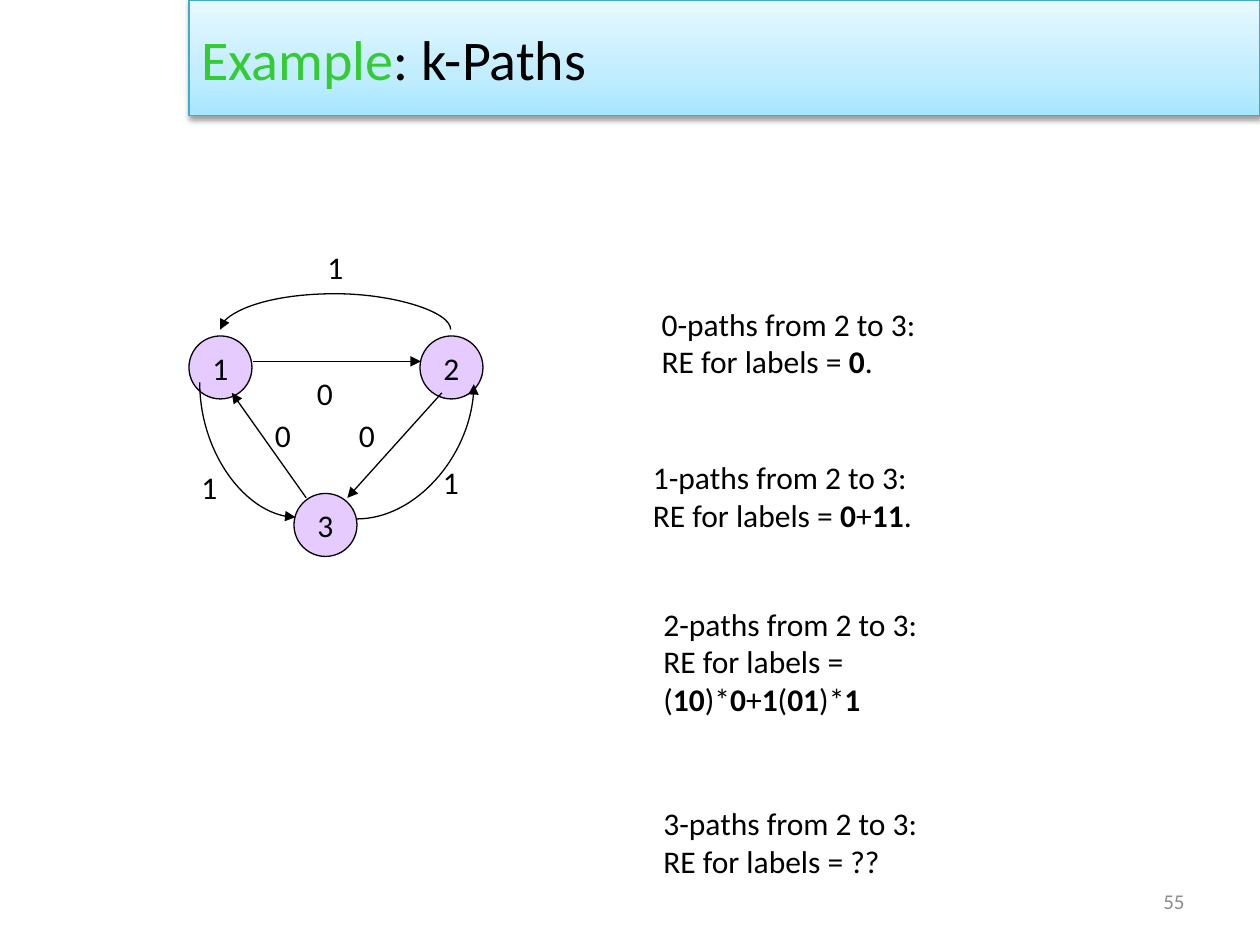
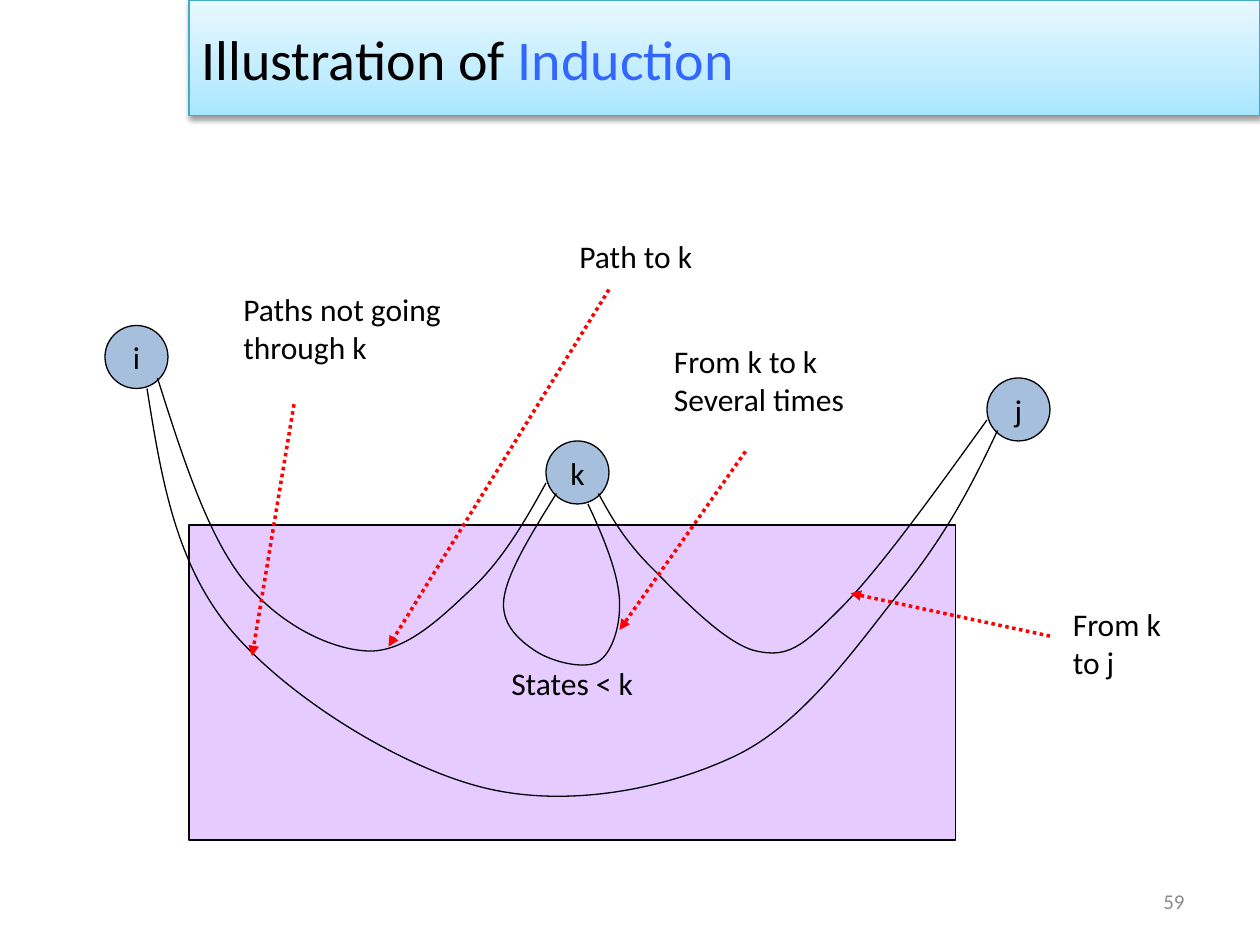
from lxml import etree
from pptx import Presentation
from pptx.dml.color import RGBColor
from pptx.enum import dml, shapes, text
from pptx.oxml import parse_xml
from pptx.oxml import ns
from pptx.util import Pt

# Shared look
FONT = "Calibri"
BLACK, RED, GREEN, BLUE = "000000", "FF0000", "33CC33", "3366FF"
LILAC, STEEL, GREY = "CC99FF", "4F81BD", "8C8C8C"
BAND_LINE = "46AAC5"
BAND_STOPS = [(0, "A7E6FF"), (35, "C1EDFF"), (100, "E7F8FF")]
NODE = 36


def color(value):
    return RGBColor.from_string(value)


def style_line(line, value=BLACK, width=0.75):
    line.color.rgb = color(value)
    line.width = Pt(width)


def style_run(r, size, value, bold=False):
    r.font.name, r.font.size, r.font.bold = FONT, Pt(size), bold
    r.font.color.rgb = color(value)


# Text
def write(tf, lines, size=18, value=BLACK, align=text.PP_ALIGN.LEFT):
    """Fill a frame; pieces between bars are bold."""
    tf.text = "\n".join(lines)
    for p, line in zip(tf.paragraphs, lines):
        p.alignment = align
        p.text = ""
        for i, piece in enumerate(line.split("|")):
            if piece:
                r = p.add_run()
                r.text = piece
                style_run(r, size, value, bold=i % 2 == 1)


def add_label(s, x, y, w, h, *lines):
    sp = s.shapes.add_textbox(Pt(x), Pt(y), Pt(w), Pt(h))
    sp.text_frame.word_wrap = True
    write(sp.text_frame, lines)
    return sp


# Shapes
def add_plain_shape(s, kind, x, y, w, h):
    sp = s.shapes.add_shape(kind, Pt(x), Pt(y), Pt(w), Pt(h))
    sp.shadow.inherit = False
    sp.text_frame.vertical_anchor = text.MSO_ANCHOR.MIDDLE
    return sp


def add_tinted(s, kind, x, y, w, h, fill, caption):
    """A half-transparent shape with a centred caption."""
    sp = add_plain_shape(s, kind, x, y, w, h)
    sp.fill.solid()
    sp.fill.fore_color.rgb = color(fill)
    tint = sp._element.spPr.find(ns.qn("a:solidFill"))[0]
    etree.SubElement(tint, ns.qn("a:alpha"), val="50000")
    style_line(sp.line)
    sp.text_frame.word_wrap = False
    write(sp.text_frame, [caption], align=text.PP_ALIGN.CENTER)


def add_state(s, name, x, y, fill):
    add_tinted(s, shapes.MSO_SHAPE.OVAL, x, y, NODE, NODE, fill, name)


def add_curve(s, start, *points):
    """An open outline; every three points form one Bezier segment."""
    fb = s.shapes.build_freeform(Pt(start[0]), Pt(start[1]), scale=1.0)
    fb.add_line_segments([(Pt(x), Pt(y)) for x, y in points], close=False)
    sp = fb.convert_to_shape()
    sp.shadow.inherit = False
    sp.fill.background()
    style_line(sp.line)
    outline = sp._element.find(".//" + ns.qn("a:path"))
    segments = outline.findall(ns.qn("a:lnTo"))
    for i in range(0, len(segments), 3):
        bezier = etree.SubElement(outline, ns.qn("a:cubicBezTo"))
        for segment in segments[i:i + 3]:
            bezier.append(segment[0])
            outline.remove(segment)


# Arrows
def add_arrow(s, start, end, value=BLACK, width=0.75, dash=None,
              kind=shapes.MSO_CONNECTOR.STRAIGHT):
    c = s.shapes.add_connector(kind, *map(Pt, start + end))
    style_line(c.line, value, width)
    if dash:
        c.line.dash_style = dash
    etree.SubElement(c.line._get_or_add_ln(), ns.qn("a:tailEnd"), type="triangle")
    etree.SubElement(c._element.spPr, ns.qn("a:effectLst"))
    return c


def add_pointer(s, start, end):
    add_arrow(s, start, end, RED, 2, dml.MSO_LINE.ROUND_DOT)


def add_bent_arrow(s, start, end, preset, turned=False, bulge=None):
    """A curved connector, optionally turned a quarter to the left."""
    c = add_arrow(s, start, end, kind=shapes.MSO_CONNECTOR.CURVE)
    spPr = c._element.spPr
    if turned:
        spPr.find(ns.qn("a:xfrm")).set("rot", "16200000")
    geometry = spPr.find(ns.qn("a:prstGeom"))
    geometry.set("prst", preset)
    if bulge is not None:
        guides = geometry.find(ns.qn("a:avLst"))
        if guides is None:
            guides = etree.SubElement(geometry, ns.qn("a:avLst"))
        etree.SubElement(guides, ns.qn("a:gd"), name="adj1",
                         fmla=f"val {bulge * 100000}")


# Title band and slide number
def add_title(s, pieces):
    sp = add_plain_shape(s, shapes.MSO_SHAPE.RECTANGLE, 108, 0, 612, 66)
    sp.fill.background()
    style_line(sp.line, BAND_LINE)
    stops = "".join(f'<a:gs pos="{pos * 1000}"><a:srgbClr val="{value}"/></a:gs>'
                    for pos, value in BAND_STOPS)
    spPr = sp._element.spPr
    spPr.replace(spPr.find(ns.qn("a:noFill")), parse_xml(
        f'<a:gradFill {ns.nsdecls("a")} rotWithShape="1"><a:gsLst>{stops}</a:gsLst>'
        '<a:lin ang="16200000" scaled="0"/></a:gradFill>'))
    spPr.find(ns.qn("a:effectLst")).append(parse_xml(
        f'<a:outerShdw {ns.nsdecls("a")} blurRad="{Pt(3.1)}" dist="{Pt(1.6)}" '
        'dir="5400000" rotWithShape="0"><a:srgbClr val="000000">'
        '<a:alpha val="38000"/></a:srgbClr></a:outerShdw>'))
    p = sp.text_frame.paragraphs[0]
    p.alignment = text.PP_ALIGN.LEFT
    for words, value in pieces:
        r = p.add_run()
        r.text = words
        style_run(r, 32, value)


def new_slide(prs, number, *title):
    s = prs.slides.add_slide(prs.slide_layouts[6])
    add_title(s, title)
    sp = add_label(s, 516, 500.5, 168, 29)
    sp.text_frame.vertical_anchor = text.MSO_ANCHOR.MIDDLE
    write(sp.text_frame, [number], 12, GREY, text.PP_ALIGN.RIGHT)
    return s


def build_k_paths(prs):
    s = new_slide(prs, "55", ("Example", GREEN), (": k-Paths", BLACK))

    # Automaton
    for name, x, y in [("1", 108, 192), ("3", 168, 282), ("2", 240, 192)]:
        add_state(s, name, x, y, LILAC)
    add_arrow(s, (144.5, 206.5), (240.5, 206.5))
    add_arrow(s, (252.5, 224.5), (198.5, 284.5))
    add_arrow(s, (175, 284.5), (132.5, 224.5))
    add_bent_arrow(s, (191.73, 254.2), (191.6, 122.4), "curvedConnector3", True, -144)
    add_bent_arrow(s, (180, 229.7), (103, 284.4), "curvedConnector2", True)
    add_bent_arrow(s, (203.8, 296.6), (270.8, 219.6), "curvedConnector2")
    for symbol, x, y in [("0", 174, 210), ("0", 198, 234), ("0", 150, 234),
                         ("1", 180, 138), ("1", 108, 264), ("1", 246, 261)]:
        add_label(s, x, y, 27, 36, symbol)

    # Path expressions
    for k, x, y, expression in [
            (0, 371, 170.5, ["RE for labels = |0|."]),
            (1, 366, 258, ["RE for labels = |0|+|11|."]),
            (2, 372, 342, ["RE for labels =", "(|10|)*|0|+|1|(|01|)*|1"]),
            (3, 372, 456, ["RE for labels = ??"])]:
        add_label(s, x, y, 230, 36 + 29 * len(expression),
                  f"{k}-paths from 2 to 3:", *expression)


def build_induction(prs):
    s = new_slide(prs, "59", ("Illustration of ", BLACK), ("Induction", BLUE))

    # States
    add_tinted(s, shapes.MSO_SHAPE.RECTANGLE, 108, 300, 438, 180, LILAC, "States < k")
    for name, x, y in [("k", 312, 252), ("i", 60, 186), ("j", 564, 216)]:
        add_state(s, name, x, y, STEEL)

    # i to j directly, i to k, k to k, k to j
    add_curve(s, (84, 222), (92, 272), (100, 322), (132, 360),
              (164, 398), (228, 438), (276, 450), (324, 462), (380, 451), (420, 432),
              (460, 413), (491, 367), (516, 336), (541, 305), (556, 276), (570, 246))
    add_curve(s, (90, 216), (104, 260), (118, 304), (138, 330),
              (158, 356), (188, 371), (210, 372), (232, 373), (253, 352), (270, 336),
              (287, 320), (300, 298), (312, 276))
    add_curve(s, (318, 282), (304, 304.5), (290, 327), (288, 342),
              (286, 357), (297, 366), (306, 372), (315, 378), (334, 383), (342, 378),
              (350, 373), (355, 357), (354, 342), (353, 327), (345, 307), (336, 288))
    add_curve(s, (342, 282), (349, 295), (357, 309), (372, 324),
              (387, 339), (414, 368), (432, 372), (450, 376), (458, 370), (480, 348),
              (502, 326), (533, 283), (564, 240))

    # Callouts
    for x, y, w, lines, start, end in [
            (132, 162, 180, ["Paths not going", "through k"], (168, 231), (144, 375)),
            (606, 342, 89, ["From k", "to j"], (600, 363.5), (486, 339)),
            (378, 192, 156, ["From k to k", "Several times"], (426, 258), (354, 360)),
            (324, 132, 110, ["Path to k"], (348, 165.5), (222, 369.5))]:
        add_label(s, x, y, w, 7 + 29 * len(lines), *lines)
        add_pointer(s, start, end)


def main():
    prs = Presentation()
    prs.slide_width, prs.slide_height = Pt(720), Pt(540)
    build_k_paths(prs)
    build_induction(prs)
    prs.save("out.pptx")


if __name__ == "__main__":
    main()
